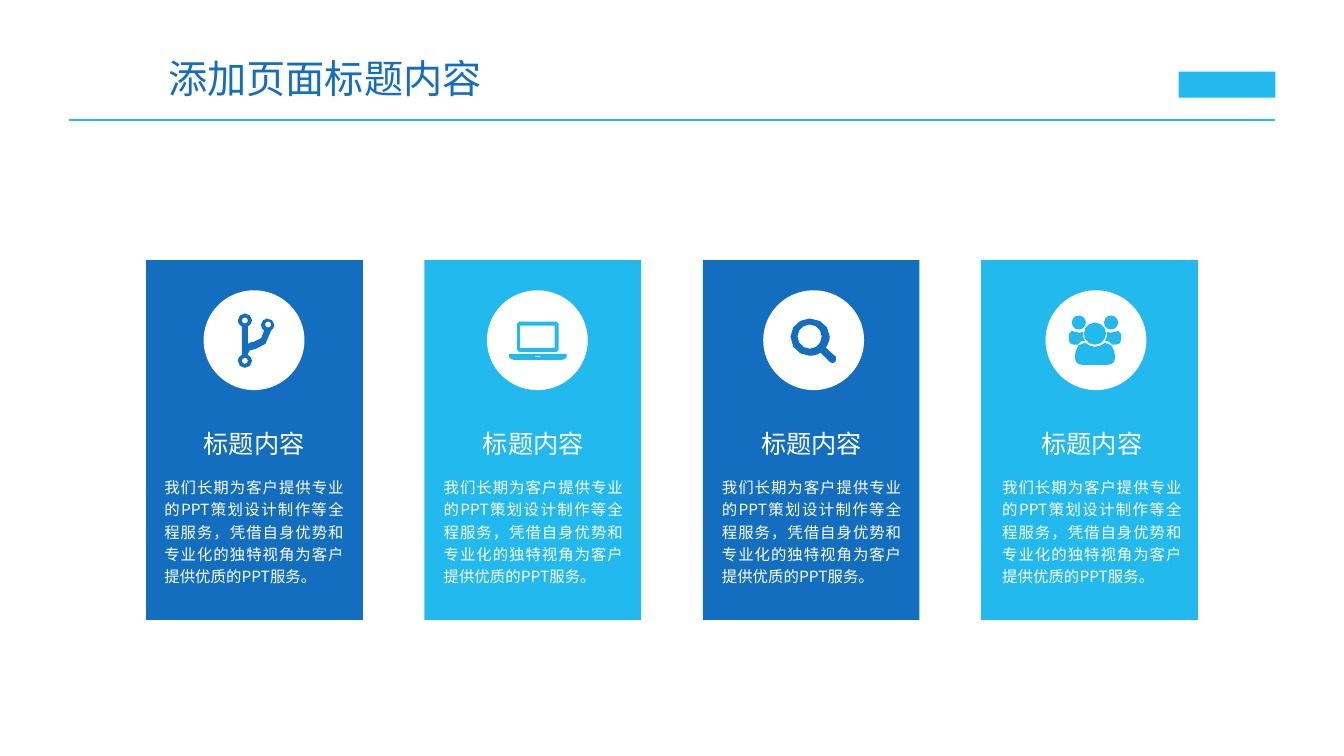
from dataclasses import dataclass
from math import cos, pi, sin

from lxml.etree import SubElement
from pptx import Presentation
from pptx.dml.color import RGBColor
from pptx.enum.shapes import MSO_CONNECTOR, MSO_SHAPE
from pptx.enum.text import MSO_ANCHOR, MSO_AUTO_SIZE, PP_ALIGN
from pptx.oxml.ns import qn
from pptx.util import Inches, Pt


@dataclass(frozen=True)
class Theme:
    """Colours, font and type sizes of the slide."""
    navy: str = "136EBF"
    sky: str = "22B9EE"
    white: str = "FFFFFF"
    font: str = "Noto Sans CJK SC"
    title: int = 28
    head: int = 18
    body: int = 11


THEME = Theme()
TOP, PITCH = 2.58, 2.76
HEAD = "标题内容"
BODY = ("我们长期为客户提供专业的PPT策划设计制作等全程服务，"
        "凭借自身优势和专业化的独特视角为客户提供优质的PPT服务。")


def ring(x, y, rad, steps=12):
    """Return points around a circle."""
    turns = [2 * pi * i / steps for i in range(steps)]
    return [(x + rad * cos(t), y + rad * sin(t)) for t in turns]


def slab(left, top, right, low, cut=0):
    """Return the outline of a rectangle, with its corners cut if asked."""
    if not cut:
        return [(left, top), (right, top), (right, low), (left, low)]
    return [(left + cut, top), (right - cut, top), (right, top + cut),
            (right, low - cut), (right - cut, low), (left + cut, low),
            (left, low - cut), (left, top + cut)]


def trace(start, *moves, steps=3):
    """Return points along lines (2 numbers) and cubic curves (6 numbers)."""
    points = [start]
    for move in moves:
        if len(move) == 2:
            points.append(move)
            continue
        knots = [points[-1], move[:2], move[2:4], move[4:]]
        for i in range(1, steps + 1):
            t = i / steps
            parts = ((1 - t) ** 3, 3 * t * (1 - t) ** 2, 3 * t * t * (1 - t), t ** 3)
            points.append(tuple(sum(w * k[a] for w, k in zip(parts, knots))
                                for a in (0, 1)))
    return points


def branch():
    """Return the outlines of the branch icon."""
    stem = trace(
        (.67, .40), (.66, .53, .58, .56, .52, .58), (.46, .59, .44, .60, .44, .63),
        (.44, .64), (.46, .66, .48, .67, .48, .70), (.48, .74, .45, .77, .41, .77),
        (.37, .77, .34, .74, .34, .70), (.34, .67, .35, .66, .38, .64), (.38, .36),
        (.35, .34, .34, .33, .34, .30), (.34, .26, .37, .23, .41, .23),
        (.45, .23, .48, .26, .48, .30), (.48, .33, .46, .34, .44, .36), (.44, .53),
        (.46, .52, .48, .51, .50, .51), (.56, .49, .60, .47, .60, .40),
        (.58, .39, .57, .37, .57, .34), (.57, .31, .60, .28, .63, .28),
        (.67, .28, .70, .31, .70, .34), (.70, .37, .69, .39, .67, .40), steps=2)
    return [stem] + [ring(x, y, .03, 8) for x, y in ((.41, .3), (.41, .7), (.64, .34))]


def laptop():
    """Return the outlines of the laptop icon."""
    base = trace((.79, .63), (.79, .66), (.79, .67, .77, .69, .74, .69), (.27, .69),
                 (.24, .69, .22, .67, .22, .66), (.22, .63))
    return [base, slab(.3, .31, .71, .61, .02), slab(.33, .35, .67, .57),
            slab(.48, .65, .53, .66)]


def lens():
    """Return the outlines of the magnifier icon."""
    rim = trace(
        (.69, .72), (.68, .72, .67, .72, .66, .71), (.57, .62),
        (.54, .64, .50, .65, .46, .65), (.36, .65, .27, .57, .27, .46),
        (.27, .36, .36, .28, .46, .28), (.57, .28, .66, .36, .66, .46),
        (.66, .50, .64, .54, .62, .57), (.72, .66),
        (.72, .67, .72, .68, .72, .69), (.72, .71, .71, .72, .69, .72))
    return [rim, ring(.46, .46, .12)]


def team():
    """Return the outlines of the three-person icon."""
    arm = trace(
        (.32, .54), (.28, .54), (.25, .54, .23, .52, .23, .49),
        (.23, .47, .22, .40, .26, .40), (.26, .40, .29, .42, .33, .42),
        (.34, .42, .36, .42, .37, .41), (.37, .43),
        (.37, .45, .37, .48, .39, .50), (.36, .50, .33, .51, .32, .54), steps=2)
    chest = trace(
        (.61, .74), (.37, .74), (.33, .74, .29, .72, .29, .67),
        (.29, .61, .31, .52, .39, .52), (.40, .52, .43, .56, .49, .56),
        (.55, .56, .58, .52, .59, .52), (.67, .52, .69, .61, .69, .67),
        (.69, .72, .65, .74, .61, .74))
    return [arm, [(.98 - x, y) for x, y in arm], chest,
            ring(.33, .32, .07), ring(.65, .32, .07), ring(.49, .43, .11)]


def paint(shape, color):
    """Give a shape a flat fill without line or shadow."""
    shape.shadow.inherit = False
    shape.fill.solid()
    shape.fill.fore_color.rgb = RGBColor.from_string(color)
    shape.line.fill.background()


def block(shapes, kind, box, color):
    """Add a flat preset shape."""
    paint(shapes.add_shape(kind, *map(Inches, box)), color)


def icon(shapes, left, top, loops, color):
    """Add one freeform made of closed outlines."""
    loops = [[(Inches(left + x), Inches(top + y)) for x, y in loop] for loop in loops]
    first, *rest = loops
    pen = shapes.build_freeform(*first[0])
    pen.add_line_segments(first[1:], close=True)
    for loop in rest:
        pen.move_to(*loop[0])
        pen.add_line_segments(loop[1:], close=True)
    paint(pen.convert_to_shape(), color)


def write(frame, text, size, color, align):
    """Fill a text frame with one styled paragraph."""
    frame.word_wrap = True
    para = frame.paragraphs[0]
    para.text = text
    para.alignment = align
    para.font.size = Pt(size)
    para.font.name = THEME.font
    para.font.color.rgb = RGBColor.from_string(color)
    SubElement(para._p.pPr.find(qn("a:defRPr")), qn("a:ea"), typeface=THEME.font)
    return para


def label(shapes, box, text, size, align):
    """Add a white text box without insets."""
    frame = shapes.add_textbox(*map(Inches, box)).text_frame
    frame.margin_left = frame.margin_right = 0
    frame.margin_top = frame.margin_bottom = 0
    return frame, write(frame, text, size, THEME.white, align)


def card(slide, left, color, inset, shift, loops):
    """Add a card with its icon, heading and text."""
    shapes = slide.shapes.add_group_shape().shapes
    block(shapes, MSO_SHAPE.RECTANGLE, (left, TOP, 2.15, 3.57), color)
    frame, _ = label(shapes, (left + inset + .08, 4.26, 1.62, .28), HEAD,
                     THEME.head, PP_ALIGN.CENTER)
    frame.vertical_anchor = MSO_ANCHOR.MIDDLE
    _, para = label(shapes, (left + inset, 4.71, 1.78, 1.16), BODY,
                    THEME.body, PP_ALIGN.JUSTIFY)
    para.line_spacing = 1.2
    block(shapes, MSO_SHAPE.OVAL, (left + shift, TOP + .3, 1, .99), THEME.white)
    icon(shapes, left + shift, TOP + .3, loops, color)


def header(slide):
    """Add the title, the rule below it and the corner mark."""
    title = slide.shapes.title
    title.left, title.top, title.width, title.height = map(
        Inches, (1.57, .49, 3.52, .57))
    write(title.text_frame, "添加页面标题内容", THEME.title, THEME.navy, PP_ALIGN.LEFT)
    title.text_frame.vertical_anchor = MSO_ANCHOR.MIDDLE
    title.text_frame.auto_size = MSO_AUTO_SIZE.SHAPE_TO_FIT_TEXT
    rule = slide.shapes.add_connector(
        MSO_CONNECTOR.STRAIGHT, *map(Inches, (.68, 1.19, 12.65, 1.19)))
    rule.line.color.rgb = RGBColor.from_string(THEME.sky)
    rule.line.width = Pt(2)
    SubElement(rule._element.spPr, qn("a:effectLst"))
    block(slide.shapes, MSO_SHAPE.RECTANGLE, (11.69, .71, .96, .26), THEME.sky)


def main():
    """Build and save the slide."""
    deck = Presentation()
    deck.slide_width, deck.slide_height = Inches(13.33), Inches(7.5)
    slide = deck.slides.add_slide(deck.slide_layouts[5])
    header(slide)
    cards = [(THEME.navy, .18, .57, branch()), (THEME.sky, .19, .62, laptop()),
             (THEME.navy, .19, .6, lens()), (THEME.sky, .21, .64, team())]
    for i, parts in enumerate(cards):
        card(slide, 1.45 + PITCH * i, *parts)
    deck.save("out.pptx")


if __name__ == "__main__":
    main()
